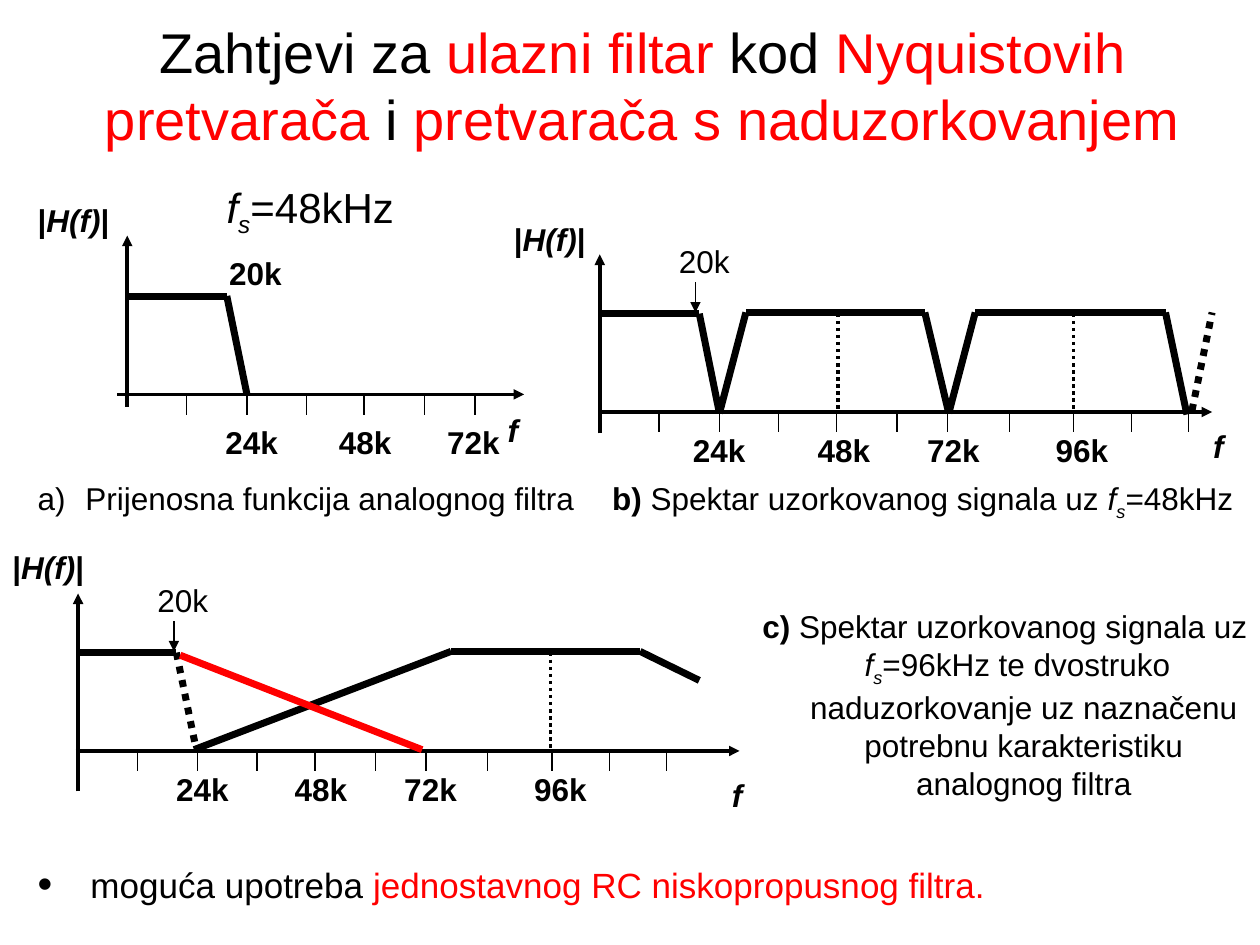
from dataclasses import dataclass

from lxml import etree
from pptx import Presentation
from pptx.dml.color import RGBColor
from pptx.enum.dml import MSO_LINE
from pptx.enum.shapes import MSO_CONNECTOR
from pptx.enum.text import MSO_ANCHOR, MSO_AUTO_SIZE, PP_ALIGN
from pptx.oxml.ns import qn
from pptx.util import Inches, Pt

STRAIGHT = MSO_CONNECTOR.STRAIGHT
DOTS = MSO_LINE.ROUND_DOT
MIDDLE = MSO_ANCHOR.MIDDLE
GROW = MSO_AUTO_SIZE.SHAPE_TO_FIT_TEXT
LEFT, CENTER = PP_ALIGN.LEFT, PP_ALIGN.CENTER


@dataclass(frozen=True)
class Theme:
    font: str = "Arial"
    black: RGBColor = RGBColor(0, 0, 0)
    red: RGBColor = RGBColor(255, 0, 0)
    title: int = 32
    rate: int = 24
    point: int = 20
    body: int = 18
    thin: float = 0.75
    axis: float = 2
    curve: float = 4


THEME = Theme()
TICKS = (0.47, 0.95, 1.42, 1.88, 2.36, 2.76, 3.25, 3.76, 4.22, 4.67)
LEVEL = -0.78  # height of the pass band above the frequency axis
MARK = 0.65  # width of a frequency mark


# Text: a run is (text, marks) with b = bold, i = italic, s = subscript, r = red
def fill(para, runs, size, align=LEFT):
    para.alignment = align
    for text, marks in runs:
        run = para.add_run()
        run.text = text
        font = run.font
        font.name, font.size = THEME.font, Pt(size)
        font.bold, font.italic = "b" in marks, "i" in marks
        font.color.rgb = THEME.red if "r" in marks else THEME.black
        if "s" in marks:
            run._r.get_or_add_rPr().set("baseline", "-25000")


def box(slide, x, y, w, h, wrap=True, anchor=None):
    shape = slide.shapes.add_textbox(Inches(x), Inches(y), Inches(w), Inches(h))
    frame = shape.text_frame
    frame.word_wrap = wrap
    if anchor is None:
        frame.auto_size = GROW
    else:
        frame.vertical_anchor = anchor
    return frame


def label(slide, x, y, w, runs, size=THEME.body, h=0.4):
    fill(box(slide, x, y, w, h, wrap=False).paragraphs[0], runs, size)


def indent(para, left, first):
    props = para._p.get_or_add_pPr()
    props.set("marL", str(Inches(left)))
    props.set("indent", str(Inches(first)))
    return props


# Lines
def line(slide, x, y, start, end, width, color=THEME.black, dash=None, arrow=False):
    ends = [Inches(v) for v in (x + start[0], y + start[1], x + end[0], y + end[1])]
    link = slide.shapes.add_connector(STRAIGHT, *ends)
    link.line.width = Pt(width)
    link.line.color.rgb = color
    if dash:
        link.line.dash_style = dash
    if arrow:
        etree.SubElement(link.line._get_or_add_ln(), qn("a:tailEnd"), type="triangle")
    etree.SubElement(link._element.spPr, qn("a:effectLst"))


def curve(slide, x, y, points):
    for start, end in zip(points, points[1:]):
        line(slide, x, y, start, end, THEME.curve)


# Axes with ticks and names, placed from their crossing point
def axes(slide, x, y, across, up, ticks, marks, drop, name, freq):
    line(slide, x, y, (across[0], 0), (across[1], 0), THEME.axis, arrow=True)
    line(slide, x, y, (0, up[0]), (0, up[1]), THEME.axis, arrow=True)
    for tick in TICKS[:ticks]:
        line(slide, x, y, (tick, 0.01), (tick, 0.16), THEME.thin)
    for text, left in zip(("24k", "48k", "72k", "96k"), marks):
        label(slide, x + left, y + drop, MARK, [(text, "b")])
    label(slide, x + name[0], y + name[1], 0.77,
          [("|", "b"), ("H(f)", "bi"), ("|", "b")])
    label(slide, x + freq[0], y + freq[1], 0.28, [("f", "bi")])


def cutoff(slide, x, y):
    label(slide, x + 0.53, y - 1.4, MARK, [("20k", "")])
    line(slide, x, y, (0.76, -1.03), (0.76, -0.79), THEME.thin, arrow=True)


def centre(slide, x, y, at):
    line(slide, x, y, (at, LEVEL), (at, 0), THEME.axis, dash=DOTS)


# a) Analog filter
def analog(slide, x, y):
    axes(slide, x, y, (-0.08, 3.15), (0.1, -1.26), 6, (0.68, 1.58, 2.44), 0.18,
         (-0.81, -1.58), (2.92, 0.08))
    curve(slide, x, y, [(0, LEVEL), (0.79, LEVEL), (0.95, 0)])
    label(slide, x + 0.71, y - 1.16, MARK, [("20k", "b")])
    label(slide, x + 0.69, y - 1.74, 1.53,
          [("f", "i"), ("s", "is"), ("=48kHz", "")], THEME.rate, 0.56)
    para = box(slide, x - 0.81, y + 0.62, 4.65, 0.4).paragraphs[0]
    props = indent(para, 0.38, -0.38)
    etree.SubElement(props, qn("a:buFont"), typeface=THEME.font)
    etree.SubElement(props, qn("a:buAutoNum"), type="alphaLcParenR")
    fill(para, [("Prijenosna funkcija analognog filtra", "")], THEME.body)


# b) Sampled signal
def sampled(slide, x, y):
    axes(slide, x, y, (-0.01, 4.86), (0.17, -1.25), 10, (0.64, 1.63, 2.5, 3.52), 0.1,
         (-0.78, -1.57), (4.77, 0.07))
    curve(slide, x, y, [(0, LEVEL), (0.79, LEVEL), (0.95, 0.01), (1.16, -0.79),
                        (2.58, -0.79), (2.77, 0.01), (2.98, -0.79),
                        (4.49, -0.79), (4.66, 0.02)])
    line(slide, x, y, (4.7, -0.01), (4.86, -0.79), THEME.curve, dash=DOTS)
    cutoff(slide, x, y)
    for at in (1.89, TICKS[7]):
        centre(slide, x, y, at)
    para = box(slide, x, y + 0.48, 5.24, 0.44).paragraphs[0]
    fill(para, [("b) ", "b"), ("Spektar uzorkovanog signala uz", ""), (" f", "i"),
                ("s", "is"), ("=48kHz", "")], THEME.body)


# c) Oversampled signal
def doubled(slide, x, y):
    axes(slide, x, y, (-0.02, 5.25), (0.32, -1.25), 10, (0.68, 1.62, 2.49, 3.52), 0.1,
         (-0.62, -1.66), (5.09, 0.15))
    curve(slide, x, y, [(0, LEVEL), (0.78, LEVEL)])
    line(slide, x, y, (0.78, LEVEL), (0.94, 0), THEME.curve, dash=DOTS)
    curve(slide, x, y, [(0.92, -0.01), (2.96, -0.79), (4.46, -0.79), (4.93, -0.56)])
    line(slide, x, y, (0.81, -0.76), (2.73, -0.01), THEME.curve, THEME.red)
    cutoff(slide, x, y)
    centre(slide, x, y, 3.75)
    frame = box(slide, x + 5.33, y - 1.19, 4.05, 1.64)
    first, second = frame.paragraphs[0], frame.add_paragraph()
    indent(first, 0.3, -0.3)
    indent(second, 0.3, -0.1)
    fill(first, [("c) ", "b"), ("Spektar uzorkovanog signala uz", "")],
         THEME.body, CENTER)
    fill(second, [("f", "i"), ("s", "is"),
                  ("=96kHz te dvostruko naduzorkovanje uz naznačenu potrebnu "
                   "karakteristiku analognog filtra", "")], THEME.body, CENTER)


def heading(slide, x, y, w, h):
    para = box(slide, x, y, w, h, anchor=MIDDLE).paragraphs[0]
    fill(para, [("Zahtjevi za ", ""), ("ulazni filtar ", "r"), ("kod ", ""),
                ("Nyquistovih pretvarača", "r"), (" i ", ""),
                ("pretvarača s naduzorkovanjem", "r")], THEME.title, CENTER)


def remark(slide, x, y, w, h):
    para = box(slide, x, y, w, h, anchor=MIDDLE).paragraphs[0]
    props = indent(para, 0.42, -0.42)
    etree.SubElement(props, qn("a:buSzPct"), val="120000")
    etree.SubElement(props, qn("a:buFont"), typeface=THEME.font)
    etree.SubElement(props, qn("a:buChar"), char="•")
    fill(para, [("moguća upotreba ", ""),
                ("jednostavnog RC niskopropusnog filtra.", "r")], THEME.point)


def main():
    deck = Presentation()
    deck.slide_width, deck.slide_height = Inches(10), Inches(7.5)
    slide = deck.slides.add_slide(deck.slide_layouts[6])
    heading(slide, 0.2, 0, 9.8, 1.34)
    analog(slide, 1.01, 3.13)
    sampled(slide, 4.76, 3.27)
    doubled(slide, 0.62, 5.96)
    remark(slide, 0.2, 6.77, 9.8, 0.5)
    deck.save("out.pptx")


if __name__ == "__main__":
    main()
